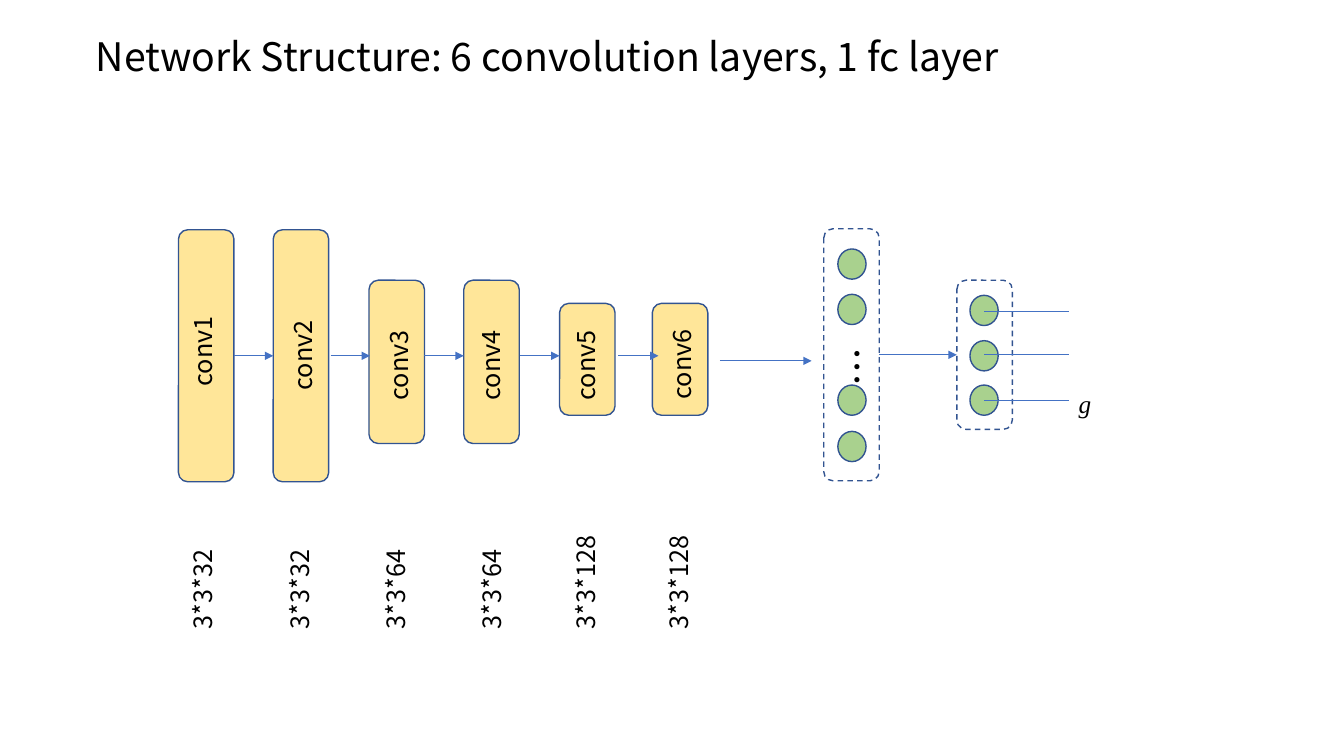
from lxml import etree
from pptx import Presentation
from pptx import util as u
from pptx.dml.color import RGBColor
from pptx.enum import dml, shapes, text
from pptx.oxml.ns import qn

HEADING = "Network Structure: 6 convolution layers, 1 fc layer"
SANS, SERIF = "Noto Sans CJK SC", "Times New Roman"
YELLOW, GREEN, WHITE, BLACK = "FFE699", "A9D18E", "FFFFFF", "000000"
OUTLINE, ARROW = "325491", "4472C4"

# Layer: name, kernel, left, top, height, name centre (x, y), name length, kernel centre x
LAYERS = [
    ("conv1", "3*3*32", 1.77, 2.28, 2.5, (2.01, 3.25), 1.36, 2.01),
    ("conv2", "3*3*32", 2.71, 2.28, 2.5, (3.0, 3.37), 1.2, 2.97),
    ("conv3", "3*3*64", 3.66, 2.78, 1.62, (3.95, 3.58), 0.98, 3.92),
    ("conv4", "3*3*64", 4.6, 2.78, 1.62, (4.86, 3.58), 0.98, 4.87),
    ("conv5", "3*3*128", 5.55, 3.01, 1.11, (5.81, 3.58), 0.98, 5.81),
    ("conv6", "3*3*128", 6.47, 3.01, 1.11, (6.76, 3.57), 0.98, 6.73),
]
COLUMN_W, LABEL_H, KERNEL_Y, KERNEL_LEN = 0.55, 0.46, 5.62, 1.44
NODE_W, NODE_H = 0.28, 0.3

# Dense layer: left, top, height, node left, node tops
DENSE = [
    (8.17, 2.27, 2.5, 8.31, [2.47, 2.92, 3.82, 4.28]),
    (9.49, 2.78, 1.48, 9.62, [2.93, 3.38, 3.82]),
]
FLOW_Y = 3.53
FLOWS = [(3.28, 3.67), (4.21, 4.6), (5.16, 5.55), (6.13, 6.53)]
OUTPUT_X, OUTPUT_YS = (9.76, 10.6), [3.09, 3.52, 3.97]

prs = Presentation()
prs.slide_width, prs.slide_height = u.Inches(13.33), u.Inches(7.5)
slide = prs.slides.add_slide(prs.slide_layouts[5])


def color(value):
    return RGBColor.from_string(value)


def inches(*values):
    return [u.Inches(value) for value in values]


def write(frame, content, size=18, font=SANS, italic=None,
          anchor=text.MSO_ANCHOR.MIDDLE):
    frame.word_wrap = True
    frame.vertical_anchor = anchor
    paragraph = frame.paragraphs[0]
    paragraph.alignment = text.PP_ALIGN.LEFT
    run = paragraph.add_run()
    run.text = content
    run.font.size, run.font.name = u.Pt(size), font
    run.font.italic = italic
    run.font.color.rgb = color(BLACK)
    # East Asian characters use the same face
    etree.SubElement(run.font._element, qn("a:ea")).set("typeface", font)
    return paragraph


def label(content, left, top, width, height, **style):
    box = slide.shapes.add_textbox(*inches(left, top, width, height))
    write(box.text_frame, content, **style)
    return box


def upward_label(content, x, y, length):
    box = label(content, x - length / 2, y - LABEL_H / 2, length, LABEL_H)
    box.rotation = 270


def block(kind, left, top, width, height, fill, dashed=False):
    item = slide.shapes.add_shape(kind, *inches(left, top, width, height))
    item.shadow.inherit = False
    item.fill.solid()
    item.fill.fore_color.rgb = color(fill)
    item.line.color.rgb = color(OUTLINE)
    item.line.width = u.Pt(1)
    if dashed:
        item.line.dash_style = dml.MSO_LINE.DASH
    return item


def link(x1, y1, x2, y2, head=True, source=None, target=None):
    line = slide.shapes.add_connector(
        shapes.MSO_CONNECTOR.STRAIGHT, *inches(x1, y1, x2, y2))
    line.line.color.rgb = color(ARROW)
    line.line.width = u.Pt(0.5)
    if head:
        etree.SubElement(line.line._get_or_add_ln(), qn("a:tailEnd")).set("type", "triangle")
    etree.SubElement(line._element.spPr, qn("a:effectLst"))
    if source is not None:
        line.begin_connect(source, 3)
    if target is not None:
        line.end_connect(target, 1)


# Title
title = slide.shapes.title
title.left, title.top, title.width, title.height = inches(0.85, 0.36, 11.5, 1.03)
title.text_frame.margin_top = u.Inches(0.01)
write(title.text_frame, HEADING, size=28, anchor=text.MSO_ANCHOR.TOP).line_spacing = 0.9

# Convolution layers with names and kernels
columns = []
for name, kernel, left, top, height, (name_x, name_y), length, kernel_x in LAYERS:
    columns.append(block(shapes.MSO_SHAPE.ROUNDED_RECTANGLE,
                         left, top, COLUMN_W, height, YELLOW))
    upward_label(name, name_x, name_y, length)
    upward_label(kernel, kernel_x, KERNEL_Y, KERNEL_LEN)

# Arrows between convolution layers
link(2.32, FLOW_Y, 2.71, FLOW_Y, source=columns[0], target=columns[1])
for start, end in FLOWS:
    link(start, FLOW_Y, end, FLOW_Y)
link(7.14, 3.58, 8.05, 3.58)

# Dense layers
frames = []
for left, top, height, node_left, node_tops in DENSE:
    frames.append(block(shapes.MSO_SHAPE.ROUNDED_RECTANGLE,
                        left, top, COLUMN_W, height, WHITE, dashed=True))
    for node_top in node_tops:
        block(shapes.MSO_SHAPE.OVAL, node_left, node_top, NODE_W, NODE_H, GREEN)
dots = label("…", 8.12, 3.35, 0.67, 0.37, size=28, anchor=text.MSO_ANCHOR.TOP)
dots.text_frame._txBody.bodyPr.set("vert", "eaVert")
link(8.72, 3.52, 9.49, 3.52, source=frames[0], target=frames[1])

# Outputs
for y in OUTPUT_YS:
    link(OUTPUT_X[0], y, OUTPUT_X[1], y, head=False)
label("g", 10.6, 3.8, 0.37, 0.43, font=SERIF, italic=True, anchor=text.MSO_ANCHOR.TOP)

prs.save("out.pptx")
